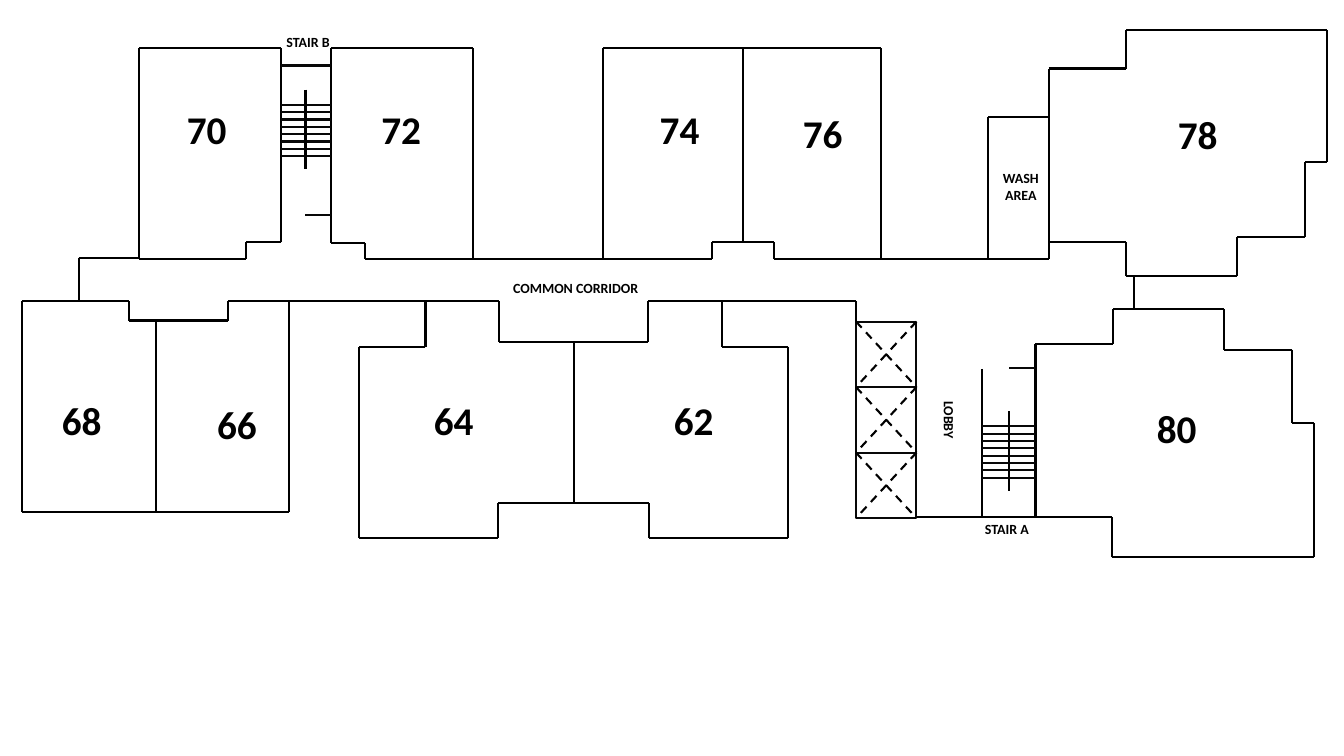
from copy import deepcopy
from itertools import pairwise

from lxml.etree import SubElement
from pptx import Presentation
from pptx.dml.color import RGBColor
from pptx.enum.dml import MSO_LINE
from pptx.enum.shapes import MSO_CONNECTOR, MSO_SHAPE
from pptx.enum.text import MSO_AUTO_SIZE, PP_ALIGN
from pptx.oxml.ns import qn
from pptx.util import Inches, Pt

BLACK = RGBColor(0x00, 0x00, 0x00)
SOFT_BLACK = RGBColor(0x08, 0x08, 0x08)

UNIT_OUTLINES = {
    "70": [(2.44, 2.57), (1.38, 2.57), (1.38, 0.48), (2.79, 0.48), (2.79, 2.4),
           (2.44, 2.4), (2.44, 2.57)],
    "72": [(3.62, 2.57), (4.69, 2.57), (4.69, 0.48), (3.28, 0.48), (3.28, 2.41),
           (3.62, 2.41), (3.62, 2.57)],
    "74 and 76": [(7.06, 2.57), (5.98, 2.57), (5.98, 0.48), (8.74, 0.48), (8.74, 2.57),
                  (7.68, 2.57), (7.68, 2.4), (7.06, 2.4), (7.06, 2.57)],
    "78": [(10.4, 2.4), (10.4, 0.68), (11.17, 0.68), (11.17, 0.3), (13.16, 0.3),
           (13.16, 1.61), (12.94, 1.61), (12.94, 2.35), (12.27, 2.35), (12.27, 2.74),
           (11.17, 2.74), (11.17, 2.4), (10.4, 2.4)],
    "80": [(10.27, 5.13), (10.27, 3.41), (11.04, 3.41), (11.04, 3.07), (12.14, 3.07),
           (12.14, 3.47), (12.81, 3.47), (12.81, 4.2), (13.03, 4.2), (13.03, 5.53),
           (11.03, 5.53), (11.03, 5.13), (10.27, 5.13)],
    "68 and 66": [(0.22, 2.99), (0.22, 5.08), (1.55, 5.08), (2.87, 5.08), (2.87, 2.99),
                  (2.26, 2.99), (2.26, 3.18), (1.55, 3.18), (1.28, 3.18), (1.28, 2.99),
                  (0.22, 2.99)],
}
UNIT_64 = [(5.69, 3.39), (4.95, 3.39), (4.95, 2.99), (4.22, 2.99), (4.22, 3.44),
           (3.56, 3.44), (3.56, 5.34), (4.94, 5.34), (4.94, 4.99), (5.69, 4.99)]
PARTY_WALL_X = 5.69

PARTITIONS = [
    [(PARTY_WALL_X, 4.99), (PARTY_WALL_X, 3.39)],
    [(7.37, 2.4), (7.37, 0.48)],
    [(1.55, 5.08), (1.55, 3.18)],
]
CORRIDOR_WALLS = [
    [(0.78, 2.99), (0.78, 2.56), (1.38, 2.56)],
    [(4.69, 2.57), (5.98, 2.57)],
    [(8.74, 2.57), (10.4, 2.57), (10.4, 2.4)],
    [(9.8, 2.57), (9.8, 1.16), (10.4, 1.16)],
    [(2.87, 2.99), (4.22, 2.99)],
    [(7.16, 2.99), (8.49, 2.99), (8.49, 3.19)],
    [(9.09, 5.13), (10.27, 5.13)],
    [(9.74, 3.66), (9.74, 5.13)],
    [(11.25, 3.07), (11.25, 2.74)],
]
STAIR_LANDINGS = [
    [(3.28, 0.65), (2.79, 0.65)],
    [(3.28, 2.13), (3.03, 2.13)],
    [(10.27, 3.65), (10.01, 3.65)],
]
UNIT_NUMBERS = [
    ("68", 0.51, 3.88), ("66", 2.05, 3.92), ("64", 4.2, 3.88), ("62", 6.58, 3.88),
    ("70", 1.75, 1), ("72", 3.68, 1), ("74", 6.44, 1), ("76", 7.86, 1.04),
    ("78", 11.58, 1.05), ("80", 11.37, 3.96),
]


def write_text(frame, text, size=10, bold=True, color=BLACK, font="Calibri"):
    paragraph = frame.paragraphs[0]
    paragraph.text = text
    paragraph.alignment = PP_ALIGN.CENTER
    for run in paragraph.runs:
        run.font.size = Pt(size)
        run.font.bold = bold
        run.font.name = font
        run.font.color.rgb = color
    for line_break in paragraph._p.findall(qn("a:br")):
        line_break.append(deepcopy(paragraph.runs[0]._r.rPr))


class FloorPlan:
    line_width = Pt(1.5)

    def __init__(self, slide):
        self.shapes = slide.shapes.add_group_shape().shapes

    def line(self, start, end, color=BLACK, dashed=False):
        connector = self.shapes.add_connector(
            MSO_CONNECTOR.STRAIGHT, *(Inches(value) for value in (*start, *end)))
        connector.line.color.rgb = color
        connector.line.width = self.line_width
        if dashed:
            connector.line.dash_style = MSO_LINE.DASH
        SubElement(connector._element.spPr, qn("a:effectLst"))

    def walls(self, points, color=BLACK):
        for start, end in pairwise(points):
            self.line(start, end, color)

    def elevator(self, left, top, width=0.6, height=0.65):
        shape = self.shapes.add_shape(
            MSO_SHAPE.RECTANGLE, Inches(left), Inches(top), Inches(width), Inches(height))
        shape.shadow.inherit = False
        shape.fill.background()
        shape.line.color.rgb = SOFT_BLACK
        shape.line.width = self.line_width
        right, bottom = left + width, top + height
        self.line((left, top), (right, bottom), dashed=True)
        self.line((right, top), (left, bottom), dashed=True)

    def stair(self, left, right, rail, top, treads=8, run_length=0.51):
        for tread in range(treads):
            y = top + tread * run_length / (treads - 1)
            self.line((right, y), (left, y), SOFT_BLACK)
        self.line((rail, top - 0.15), (rail, top + 0.64))

    def label(self, text, left, top, width, height, wrap=False, rotation=0, **style):
        box = self.shapes.add_textbox(
            Inches(left), Inches(top), Inches(width), Inches(height))
        box.rotation = rotation
        box.text_frame.word_wrap = wrap
        box.text_frame.auto_size = MSO_AUTO_SIZE.SHAPE_TO_FIT_TEXT
        write_text(box.text_frame, text, **style)


def main():
    presentation = Presentation()
    presentation.slide_width = Inches(13.33)
    presentation.slide_height = Inches(7.5)
    plan = FloorPlan(presentation.slides.add_slide(presentation.slide_layouts[6]))

    for outline in UNIT_OUTLINES.values():
        plan.walls(outline)
    plan.walls(UNIT_64)
    plan.walls([(2 * PARTY_WALL_X - x, y) for x, y in UNIT_64])
    for wall in PARTITIONS + CORRIDOR_WALLS:
        plan.walls(wall)

    for floor in range(3):
        plan.elevator(8.49, 3.19 + 0.65 * floor)
    plan.stair(left=2.79, right=3.28, rail=3.03, top=1.04)
    plan.stair(left=9.74, right=10.27, rail=10.01, top=4.23)
    for landing in STAIR_LANDINGS:
        plan.walls(landing, SOFT_BLACK)

    for number, left, top in UNIT_NUMBERS:
        plan.label(number, left, top, 0.6, 0.57, size=28)
    plan.label("LOBBY", 9.12, 4.03, 0.59, 0.27, rotation=90)
    plan.label("COMMON CORRIDOR", 4.98, 2.72, 1.46, 0.27)
    plan.label("WASH\nAREA", 9.84, 1.63, 0.57, 0.44)
    plan.label("STAIR A", 9.64, 5.11, 0.69, 0.27, wrap=True)
    plan.label("STAIR B", 2.71, 0.28, 0.69, 0.27, wrap=True)

    presentation.save("out.pptx")


if __name__ == "__main__":
    main()
